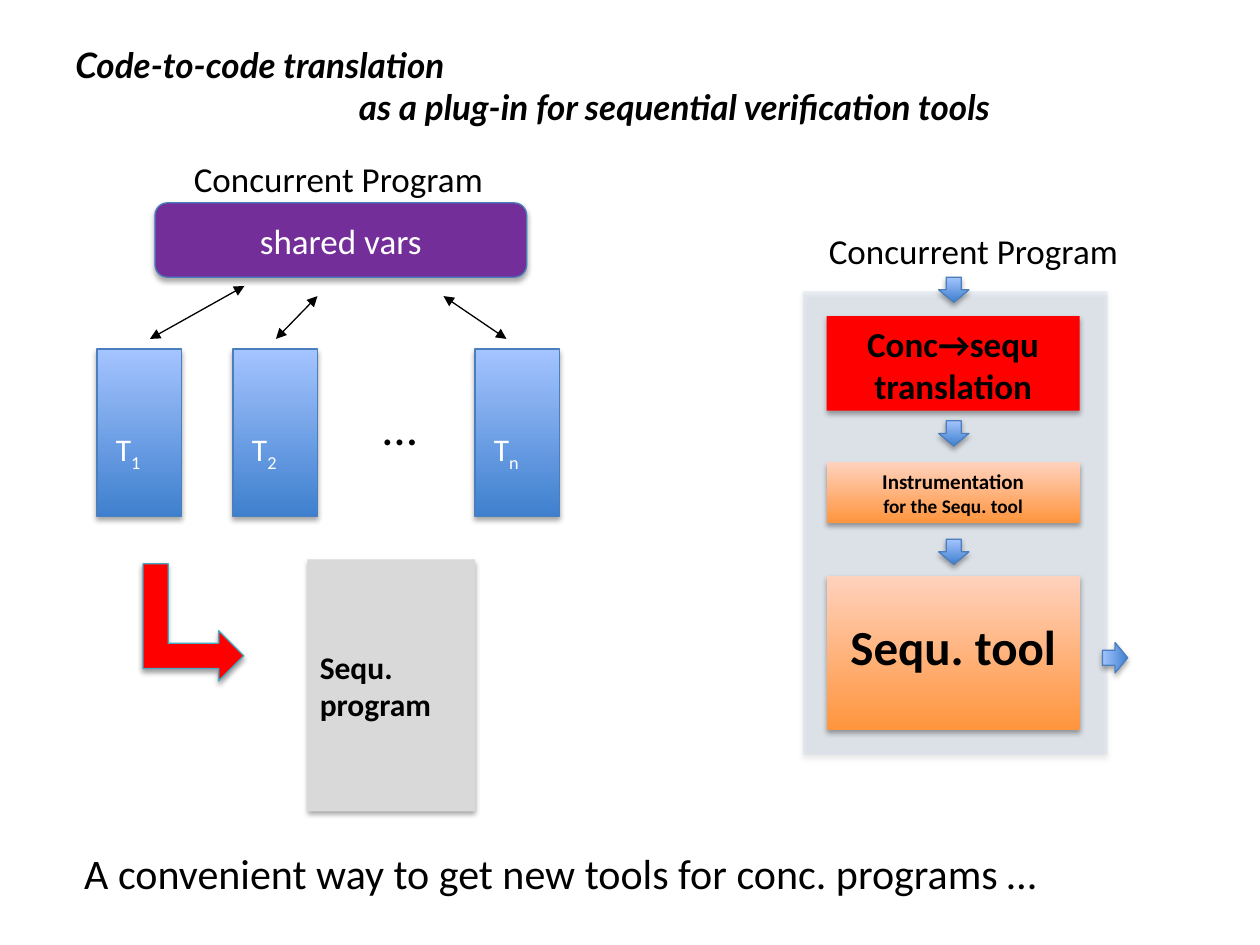
from dataclasses import dataclass

from lxml.etree import SubElement
from pptx import Presentation
from pptx.dml.color import RGBColor
from pptx.enum.shapes import MSO_CONNECTOR as Connector, MSO_SHAPE as Preset
from pptx.enum.text import MSO_ANCHOR as Anchor, PP_ALIGN as Align
from pptx.oxml.ns import qn
from pptx.util import Inches, Pt

CELL = 0.1
BLUE = ("3F80CE", "A4C4FF")
ORANGE = ("FF953E", "FFD2BD")
BLUE_LINE = "4B7EBC"


@dataclass
class Box:
    column: float
    row: float
    columns: float
    rows: float

    def area(self, column, row, columns, rows):
        return Box(self.column + column, self.row + row, columns, rows)

    def point(self, column, row):
        return [Inches(CELL * n) for n in (self.column + column, self.row + row)]

    def frame(self):
        return [Inches(CELL * n) for n in (self.column, self.row, self.columns, self.rows)]


def color(value):
    return RGBColor.from_string(value)


def format_run(run, size, ink, **font):
    run.font.color.rgb = color(ink)
    for name, value in {"name": "Calibri", "size": Pt(size), **font}.items():
        setattr(run.font, name, value)


def write(shape, lines, size=20, ink="000000", align=Align.LEFT, frame=None, **font):
    text_frame = shape.text_frame
    layout = {"word_wrap": True, "vertical_anchor": Anchor.TOP, **(frame or {})}
    for name, value in layout.items():
        setattr(text_frame, name, value)
    text_frame.text = "\n".join(lines)
    for paragraph in text_frame.paragraphs:
        paragraph.alignment = align
        for run in paragraph.runs:
            format_run(run, size, ink, **font)
    return text_frame


def add_text(slide, box, lines, wrap=False, **style):
    shape = slide.shapes.add_textbox(*box.frame())
    style["frame"] = {"word_wrap": wrap, **style.get("frame", {})}
    return write(shape, lines, **style)


def add_shadow(shape, opacity):
    shape.shadow.inherit = False
    effects = shape._element.spPr.find(qn("a:effectLst"))
    shadow = SubElement(effects, qn("a:outerShdw"), blurRad=str(Pt(3.1)),
                        dist=str(Pt(1.8)), dir="5400000", rotWithShape="0")
    black = SubElement(shadow, qn("a:srgbClr"), val="000000")
    SubElement(black, qn("a:alpha"), val=str(opacity * 1000))


def add_block(slide, box, fill, preset=Preset.RECTANGLE, line=None, rotation=0, opacity=35):
    shape = slide.shapes.add_shape(preset, *box.frame())
    shape.rotation = rotation
    if isinstance(fill, tuple):
        shape.fill.gradient()
        shape.fill.gradient_angle = 90
        for stop, value in zip(shape.fill.gradient_stops, fill):
            stop.color.rgb = color(value)
    else:
        shape.fill.solid()
        shape.fill.fore_color.rgb = color(fill)
    if line:
        shape.line.color.rgb = color(line)
        shape.line.width = Pt(0.75)
    else:
        shape.line.fill.background()
    add_shadow(shape, opacity)
    return shape


def add_double_arrow(slide, start, end):
    connector = slide.shapes.add_connector(Connector.STRAIGHT, *start, *end)
    connector.line.color.rgb = color("000000")
    connector.line.width = Pt(0.75)
    outline = connector._element.spPr.find(qn("a:ln"))
    for end_name in ("a:headEnd", "a:tailEnd"):
        SubElement(outline, qn(end_name), type="triangle")
    SubElement(connector._element.spPr, qn("a:effectLst"))


def add_title(slide, box):
    text_frame = add_text(
        slide, box,
        ["Code-to-code translation", "as a plug-in for sequential verification tools"],
        wrap=True, frame={"vertical_anchor": Anchor.MIDDLE},
        name="Lato", bold=True, italic=True)
    indent = text_frame.paragraphs[1]._p.get_or_add_pPr()
    indent.set("marL", str(Inches(2.25)))
    indent.set("indent", "0")


def add_tool_chain(slide, box):
    panel = add_block(slide, box.area(0, 5.4, 24.2, 36.8), "B9CDE5")
    panel_color = panel._element.spPr.find(qn("a:solidFill"))[0]
    SubElement(panel_color, qn("a:alpha"), val="25000")
    stages = [
        (28, 12.2, ORANGE, ["Sequ. tool"], 28, 0.32),
        (7.4, 7.5, "FF0000", ["Conc→sequ", "translation"], 20, 0.05),
        (19, 4.8, ORANGE, ["Instrumentation", "for the Sequ. tool"], 12, 0.05),
    ]
    for row, rows, fill, lines, size, margin in stages:
        stage = add_block(slide, box.area(1.9, row, 20.1, rows), fill)
        text_frame = write(stage, lines, size=size, align=Align.CENTER, bold=True,
                           frame={"margin_top": Inches(margin)})
    text_frame.paragraphs[1].runs[0].font.size = Pt(11)
    for column, row, rotation in [(10.8, 4.3, 0), (10.8, 15.7, 0), (10.8, 25.1, 0), (23.6, 33.5, 270)]:
        add_block(slide, box.area(column, row, 2.4, 2), BLUE, Preset.DOWN_ARROW, BLUE_LINE, rotation)
    add_text(slide, box.area(1.1, 0, 25.3, 4.4), ["Concurrent Program"])


def add_concurrent_program(slide, box):
    add_text(slide, box.area(6.7, 0, 25.3, 4.4), ["Concurrent Program"])
    shared = add_block(slide, box.area(4.6, 4.1, 29.5, 5.9), "732E9A", Preset.ROUNDED_RECTANGLE, BLUE_LINE)
    write(shared, ["shared vars"], ink="FFFFFF", align=Align.CENTER,
          frame={"vertical_anchor": Anchor.MIDDLE})
    for column, index in [(0, "1"), (10.8, "2"), (30, "n")]:
        thread = add_block(slide, box.area(column, 15.7, 6.7, 13.3), BLUE, line=BLUE_LINE)
        text_frame = write(thread, ["T"], size=18, ink="FFFFFF", frame={
            "vertical_anchor": Anchor.MIDDLE, "margin_top": Inches(0.35), "margin_left": Inches(0.15)})
        subscript = text_frame.paragraphs[0].add_run()
        subscript.text = index
        format_run(subscript, 18, "FFFFFF")
        subscript.font._element.set("baseline", "-25000")
    for start, end in [((4.2, 14.9), (11.7, 10.7)), ((14.2, 14.9), (17.5, 11.5)), ((27.5, 11.5), (32.5, 14.9))]:
        add_double_arrow(slide, box.point(*start), box.point(*end))
    add_text(slide, box.area(21.7, 19, 4.7, 5.7), ["…"], size=28)


def add_sequential_program(slide, box):
    program = add_block(slide, box.area(13.7, 0, 13.3, 20), "D9D9D9")
    write(program, ["Sequ.", "program"], size=18, bold=True, frame={"vertical_anchor": Anchor.MIDDLE})
    add_block(slide, box.area(0, 1, 9.3, 8), "FF0000", Preset.BENT_UP_ARROW, "46AAC5", 90, 38)


def add_conclusion(slide, box):
    add_text(slide, box, ["A convenient way to get new tools for conc. programs …"], wrap=True, size=24)


presentation = Presentation()
presentation.slide_width, presentation.slide_height = Inches(10), Inches(7.5)
slide = presentation.slides.add_slide(presentation.slide_layouts[6])
add_title(slide, Box(5, 0.5, 90, 12.5))
add_conclusion(slide, Box(5.7, 66.8, 82.5, 6.6))
add_tool_chain(slide, Box(63.7, 17.7, 26.4, 42.2))
add_concurrent_program(slide, Box(7.7, 12, 36.7, 29))
add_sequential_program(slide, Box(10.7, 44.4, 27, 20))
presentation.save("out.pptx")
